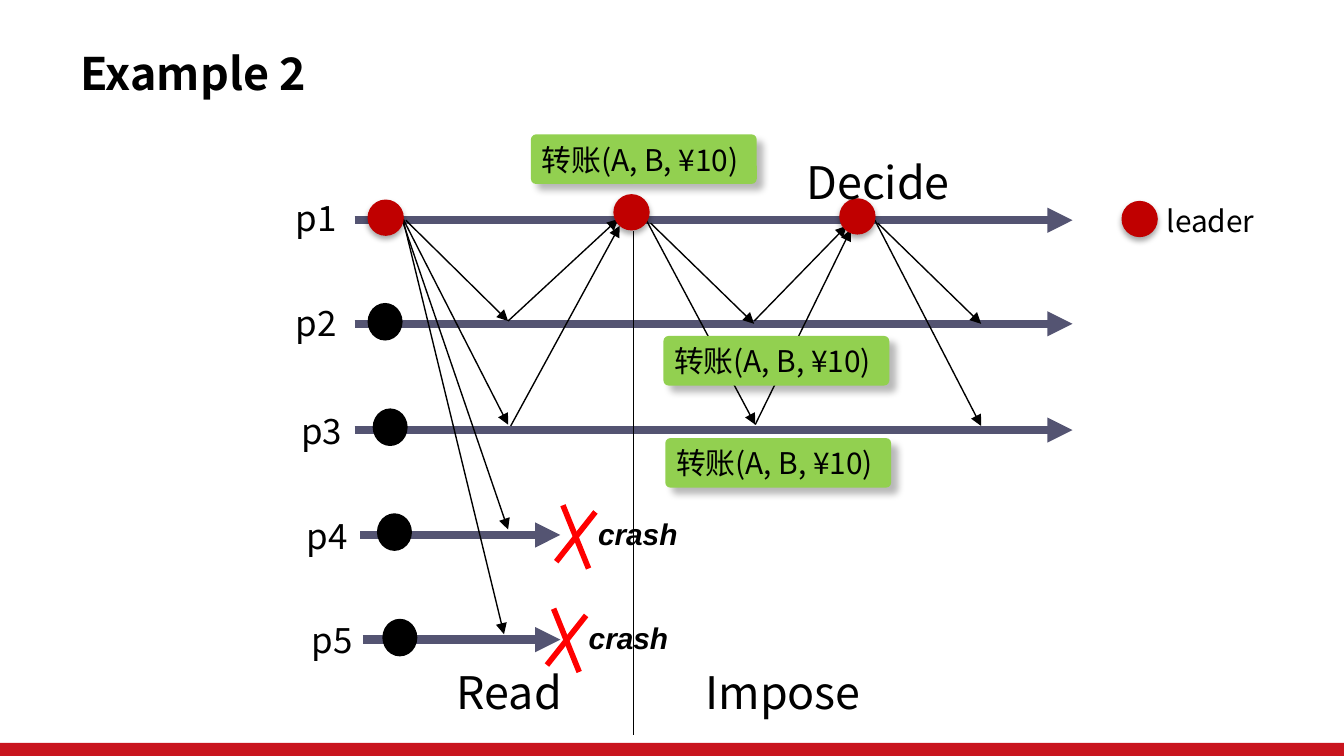
from dataclasses import dataclass
from lxml.etree import SubElement
from pptx import Presentation
from pptx.dml.color import RGBColor
from pptx.enum.shapes import MSO_CONNECTOR, MSO_SHAPE
from pptx.enum.text import MSO_ANCHOR, PP_ALIGN
from pptx.oxml.ns import qn
from pptx.util import Pt


@dataclass(frozen=True)
class Theme:
    black: str = "000000"
    brand: str = "C9151E"
    lead: str = "C00000"
    axis: str = "545472"
    badge: str = "92D050"
    cross: str = "FF0000"
    sans: str = "Noto Sans CJK SC"
    latin: str = "Arial"
    head: float = 24
    label: float = 18.7
    small: float = 16


THEME = Theme()
FIELD = (9.4, 5)

ROWS = [
    ("p1", 149, 102.2, 190, 574.6, 118),
    ("p2", 149, 158.4, 190, 574.6, 173.5),
    ("p3", 152, 216, 190, 574.6, 230.4),
    ("p4", 155, 272.2, 193, 300.2, 286.6),
    ("p5", 157.7, 328.3, 194.4, 300.2, 342.7),
]
NODES = [(197.3, 162.7), (200, 219.2), (202.3, 275.4), (205.2, 331.9)]
LEADS = [(197.3, 107.3), (329, 104.4), (450, 106.6), (601.2, 108)]
BADGES = [(284.4, 72), (355.4, 180), (356.4, 234.7)]
SENDS = [
    (217.4, 118, 272.2, 172),
    (216, 117.4, 272.2, 227.5),
    (216, 119.5, 272.2, 283.7),
    (216, 118, 270, 339.8),
    (272.2, 172, 331.2, 117.4),
    (273.6, 228.2, 332, 121),
    (348.5, 119.5, 404, 173.5),
    (346.3, 118, 404.6, 227.5),
    (404, 172, 453.6, 121),
    (404.6, 227.5, 455.8, 123.1),
    (468.7, 118, 525.6, 228.2),
    (470.2, 119.5, 525.6, 173.5),
]
CRASHES = [(311, 272.9), (306, 328.3)]


def paint(color):
    return RGBColor.from_string(color)


def style(frame, text, size, font=THEME.sans, bold=False, slant=False,
          pad=(7.2, 3.6), wrap=True, space=None, middle=False):
    frame.word_wrap = wrap
    frame.margin_left = frame.margin_right = Pt(pad[0])
    frame.margin_top = frame.margin_bottom = Pt(pad[1])
    frame.vertical_anchor = MSO_ANCHOR.MIDDLE if middle else MSO_ANCHOR.TOP
    line = frame.paragraphs[0]
    line.alignment = PP_ALIGN.LEFT
    if space:
        line.line_spacing = space
    run = line.add_run()
    run.text = text
    run.font.name = font
    run.font.size = Pt(size)
    run.font.bold = bold
    run.font.italic = slant
    run.font.color.rgb = paint(THEME.black)
    SubElement(run.font._element, qn("a:ea"), typeface=font)


def write(slide, text, left, top, width, height, size, **form):
    box = slide.shapes.add_textbox(Pt(left), Pt(top), Pt(width), Pt(height))
    style(box.text_frame, text, size, **form)


def shade(shape, alpha, blur, gap, angle):
    glow = SubElement(shape._element.spPr.find(qn("a:effectLst")),
                      qn("a:outerShdw"), blurRad=str(Pt(blur)),
                      dist=str(Pt(gap)), dir=str(angle * 60000),
                      algn="ctr", rotWithShape="0")
    tint = SubElement(glow, qn("a:srgbClr"), val=THEME.black)
    SubElement(tint, qn("a:alpha"), val=str(alpha * 1000))


def block(slide, kind, left, top, width, height, fill, edge=None):
    shape = slide.shapes.add_shape(
        kind, Pt(left), Pt(top), Pt(width), Pt(height))
    shape.shadow.inherit = False
    shape.fill.solid()
    shape.fill.fore_color.rgb = paint(fill)
    if edge:
        shape.line.color.rgb = paint(edge)
        shape.line.width = Pt(0.75)
    else:
        shape.line.fill.background()
    return shape


def rule(slide, start_x, start_y, end_x, end_y,
         color=THEME.black, width=0.75, arrow=False):
    line = slide.shapes.add_connector(
        MSO_CONNECTOR.STRAIGHT, Pt(start_x), Pt(start_y), Pt(end_x), Pt(end_y))
    line.line.color.rgb = paint(color)
    line.line.width = Pt(width)
    if arrow:
        SubElement(line.line._get_or_add_ln(), qn("a:tailEnd"),
                   type="triangle")
    SubElement(line._element.spPr, qn("a:effectLst"))


def row(slide, name, left, top, start, end, level):
    rule(slide, start, level, end, level, THEME.axis, 4.5, True)
    write(slide, name, left, top, 42.5, 31.7, THEME.label,
          pad=FIELD, wrap=False, space=0.95)


def node(slide, left, top):
    block(slide, MSO_SHAPE.OVAL, left, top, 18, 19.4,
          THEME.black, THEME.black)


def leader(slide, left, top):
    dot = block(slide, MSO_SHAPE.OVAL, left, top, 18.7, 18.7,
                THEME.lead, THEME.lead)
    shade(dot, 35, 3.1, 1.8, 90)


def badge(slide, left, top):
    card = block(slide, MSO_SHAPE.ROUNDED_RECTANGLE, left, top, 121, 26.6,
                 THEME.badge)
    card.adjustments[0] = 0.105
    shade(card, 27, 4, 5, 45)
    style(card.text_frame, "转账(A, B, ¥10)", THEME.small,
          pad=(5, 0), wrap=False, middle=True)


def crash(slide, left, top):
    rule(slide, left + 8, top + 1.4, left - 13, top + 28, THEME.cross, 3)
    rule(slide, left - 9.4, top - 2.2, left + 4.3, top + 31.7, THEME.cross, 3)
    write(slide, "crash", left, top, 67.7, 28, THEME.small,
          font=THEME.latin, bold=True, slant=True, pad=FIELD, space=0.95)


def main():
    deck = Presentation()
    deck.slide_width, deck.slide_height = Pt(720), Pt(405)
    slide = deck.slides.add_slide(deck.slide_layouts[6])
    block(slide, MSO_SHAPE.RECTANGLE, 0, 398, 720, 7, THEME.brand)
    write(slide, "Example 2", 36, 21, 501, 35.3, THEME.head,
          bold=True, wrap=False, middle=True)
    for item in ROWS:
        row(slide, *item)
    for spot in NODES:
        node(slide, *spot)
    for ends in SENDS:
        rule(slide, *ends, arrow=True)
    rule(slide, 339.3, 124, 339.3, 394)
    for spot in BADGES:
        badge(slide, *spot)
    for spot in LEADS:
        leader(slide, *spot)
    for spot in CRASHES:
        crash(slide, *spot)
    write(slide, "leader", 625, 110, 62.6, 18.7, THEME.small,
          pad=(0, 0), space=0.95)
    write(slide, "Decide", 422.6, 80, 123, 37.4, THEME.head,
          pad=FIELD, space=0.95)
    write(slide, "Read", 237.6, 352.8, 85, 36, THEME.head)
    write(slide, "Impose", 370.8, 352.8, 114.5, 36, THEME.head)
    deck.save("out.pptx")


if __name__ == "__main__":
    main()
